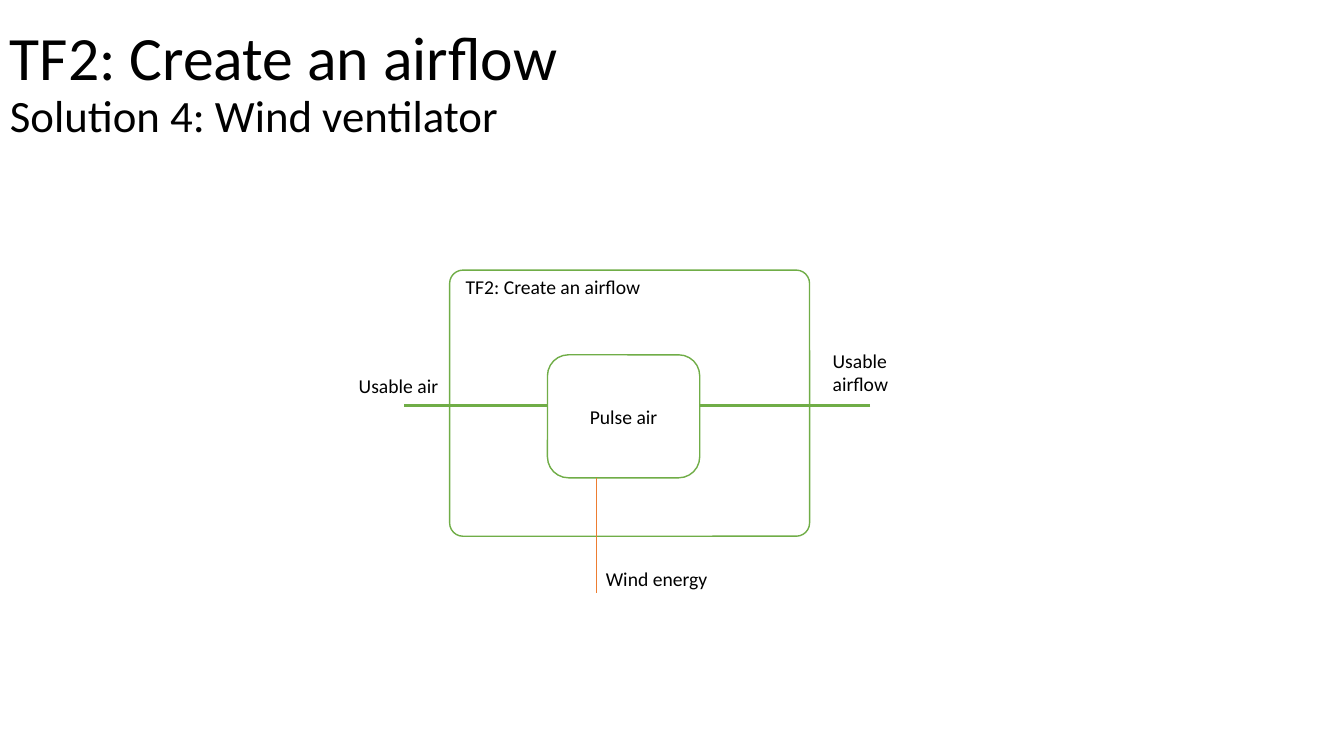
"""Builds the airflow function diagram for the wind ventilator solution."""
from lxml import etree
from pptx import Presentation
from pptx.dml.color import RGBColor
from pptx.enum.shapes import MSO_CONNECTOR, MSO_SHAPE
from pptx.enum.text import MSO_ANCHOR, PP_ALIGN
from pptx.oxml.ns import qn
from pptx.util import Inches, Pt

ROUNDED = MSO_SHAPE.ROUNDED_RECTANGLE
STRAIGHT = MSO_CONNECTOR.STRAIGHT
TOP, MIDDLE = MSO_ANCHOR.TOP, MSO_ANCHOR.MIDDLE
LEFT, CENTER = PP_ALIGN.LEFT, PP_ALIGN.CENTER


class Diagram:
    COLORS = {"text": "000000", "paper": "FFFFFF", "air": "70AD47", "energy": "ED7D31"}
    FONT = "Calibri"
    LABEL_SIZE = 14
    CELL = Inches(0.1)

    def __init__(self, slide):
        self.s = slide

    def grid(self, *cells):
        return [round(c * self.CELL) for c in cells]

    def color(self, name):
        return RGBColor.from_string(self.COLORS[name])

    def set_text(self, sp, text, sizes, anchor=TOP, align=LEFT, spacing=1.0):
        tf = sp.text_frame
        tf.word_wrap = True
        tf.vertical_anchor = anchor
        p = tf.paragraphs[0]
        p.text = text
        p.alignment = align
        p.line_spacing = spacing
        for r, size in zip(p.runs, sizes):
            r.font.name = self.FONT
            r.font.size = Pt(size)
            r.font.color.rgb = self.color("text")

    def title(self, text, sizes, *box):
        sp = self.s.shapes.add_textbox(*self.grid(*box))
        self.set_text(sp, text, sizes, MIDDLE, spacing=0.9)

    def label(self, text, *box):
        sp = self.s.shapes.add_textbox(*self.grid(*box))
        self.set_text(sp, text, [self.LABEL_SIZE])

    def block(self, *box, radius=0.17, fill=None, text=""):
        sp = self.s.shapes.add_shape(ROUNDED, *self.grid(*box))
        sp.shadow.inherit = False
        sp.adjustments[0] = radius
        if fill:
            sp.fill.solid()
            sp.fill.fore_color.rgb = self.color(fill)
        else:
            sp.fill.background()
        sp.line.color.rgb = self.color("air")
        sp.line.width = Pt(1)
        if text:
            self.set_text(sp, text, [self.LABEL_SIZE], MIDDLE, CENTER)

    def flow(self, *ends, color="air", width=2.25):
        line = self.s.shapes.add_connector(STRAIGHT, *self.grid(*ends))
        line.line.color.rgb = self.color(color)
        line.line.width = Pt(width)
        etree.SubElement(line._element.spPr, qn("a:effectLst"))


prs = Presentation()
prs.slide_width, prs.slide_height = Inches(13.33), Inches(7.5)
d = Diagram(prs.slides.add_slide(prs.slide_layouts[6]))

left, top, width, height = 54.3, 35.2, 15.1, 12.2
right, bottom = left + width, top + height
air_row, wind_column = 40.2, 59.1

d.title("TF2: Create an airflow\vSolution 4: Wind ventilator", [44, 32], 0, 1.2, 115, 14.5)
d.block(44.6, 26.8, 35.7, 26.4, radius=0.05, fill="paper")
d.block(left, top, width, height, text="Pulse air")
d.label("TF2: Create an airflow", 45.2, 26.8, 23.1, 3.4)
d.flow(left, air_row, 40.1, air_row)
d.label("Usable air", 34.6, 36.6, 10.6, 3.4)
d.flow(86.3, air_row, right, air_row)
d.label("Usable airflow", 81.6, 34.1, 9.5, 5.7)
d.flow(wind_column, 58.8, wind_column, bottom, color="energy", width=0.5)
d.label("Wind energy", wind_column, 55.8, 16.1, 3.4)

prs.save("out.pptx")
